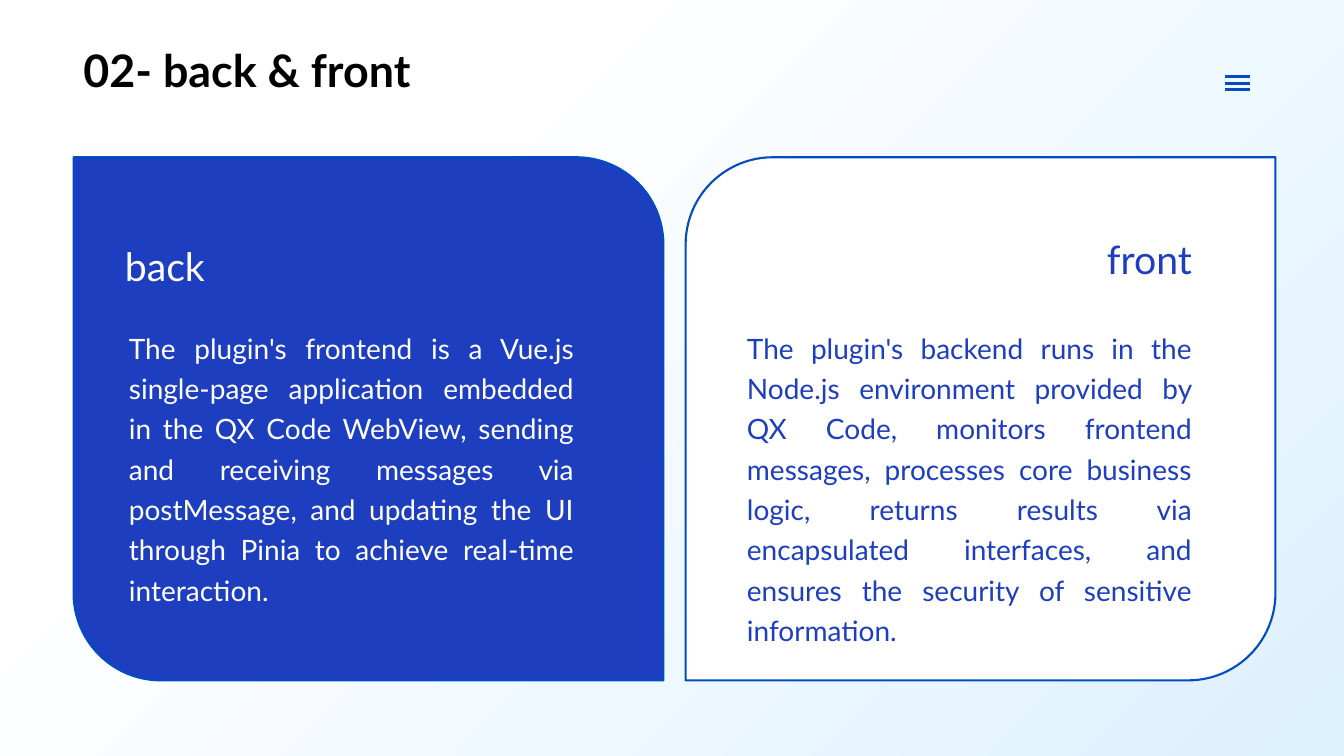
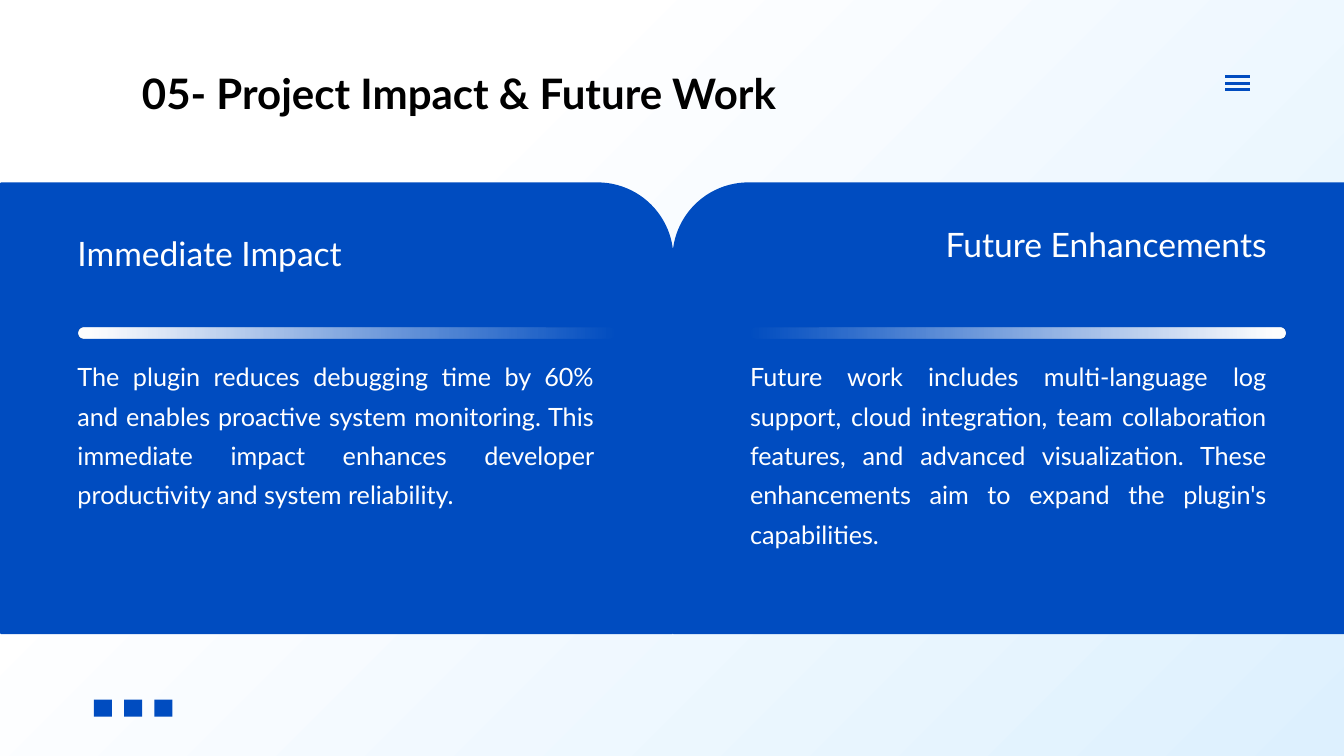
import pptx
import pptx.util
import pptx.dml.color
import pptx.enum.shapes
import pptx.enum.text
import pptx.oxml
import pptx.oxml.ns
from dataclasses import dataclass

SHAPES = pptx.enum.shapes.MSO_SHAPE
ALIGN = pptx.enum.text.PP_ALIGN
ANCHOR = pptx.enum.text.MSO_ANCHOR


@dataclass(frozen=True)
class Theme:
    font: str = "Lato"
    blue: str = "004CC0"
    royal: str = "1D3EBF"
    white: str = "FFFFFF"
    black: str = "000000"
    outline: float = 1.5
    menu_line: float = 2.5
    # Gradient stops: position in percent, colour, opacity in percent
    backdrop: tuple = ((0, "FFFFFF", 100), (28, "FFFFFF", 100), (100, "DDF0FE", 100))
    fade: tuple = ((0, "FFFFFF", 100), (2, "FFFFFF", 100), (100, "FFFFFF", 0))


THEME = Theme()
SLIDE_WIDTH, SLIDE_HEIGHT = 1333, 750
EMU_PER_PX = 9144

# Content: boxes are left, top, width, height in px
BACK_FRONT = {
    "title": ("02- back & front", (73, 37, 1110, 64), 32),
    "panel": SHAPES.ROUND_2_DIAG_RECTANGLE,
    "sizes": (28, 20),
    "spacing": 1.2,
    "columns": [
        {
            "panel": (73, 156, 585, 519), "mirror": True,
            "fill": THEME.royal, "ink": THEME.white,
            "heading": ("back", (114, 235, 469, 57), ALIGN.JUSTIFY),
            "body": ("The plugin's frontend is a Vue.js single-page application "
                     "embedded in the QX Code WebView, sending and receiving "
                     "messages via postMessage, and updating the UI through Pinia "
                     "to achieve real-time interaction.", (118, 317, 461, 250)),
        },
        {
            "panel": (680, 156, 585, 519), "mirror": False,
            "fill": THEME.white, "ink": THEME.royal,
            "heading": ("front", (723, 228, 469, 57), ALIGN.RIGHT),
            "body": ("The plugin's backend runs in the Node.js environment provided "
                     "by QX Code, monitors frontend messages, processes core "
                     "business logic, returns results via encapsulated interfaces, "
                     "and ensures the security of sensitive information.",
                     (731, 317, 461, 290)),
        },
    ],
}

IMPACT = {
    "title": ("05- Project Impact & Future Work", (131, 62, 1110, 61), 30),
    "panel": SHAPES.ROUND_1_RECTANGLE,
    "sizes": (24, 18),
    "spacing": 1.3,
    "columns": [
        {
            "panel": (1, 182, 666, 446), "mirror": False,
            "fill": THEME.blue, "ink": THEME.white, "rule": (78, 325, 531, 11),
            "heading": ("Immediate Impact", (67, 231, 532, 40), ALIGN.JUSTIFY),
            "body": ("The plugin reduces debugging time by 60% and enables proactive "
                     "system monitoring. This immediate impact enhances developer "
                     "productivity and system reliability.", (67, 345, 532, 156)),
        },
        {
            "panel": (668, 182, 666, 446), "mirror": True,
            "fill": THEME.blue, "ink": THEME.white, "rule": (744, 325, 531, 11),
            "heading": ("Future Enhancements", (734, 222, 532, 40), ALIGN.RIGHT),
            "body": ("Future work includes multi-language log support, cloud "
                     "integration, team collaboration features, and advanced "
                     "visualization. These enhancements aim to expand the plugin's "
                     "capabilities.", (734, 345, 532, 195)),
        },
    ],
}


# Drawing helpers
def px(*lengths):
    return [pptx.util.Emu(length * EMU_PER_PX) for length in lengths]


def rgb(colour):
    return pptx.dml.color.RGBColor.from_string(colour)


def set_gradient(fill, owner, stops, angle):
    fill.gradient()
    gradient = owner.xpath(".//a:gradFill")[0]
    stop_list = gradient.find(pptx.oxml.ns.qn("a:gsLst"))
    for stop in list(stop_list):
        stop_list.remove(stop)
    for position, colour, opacity in stops:
        stop_list.append(pptx.oxml.parse_xml(
            f'<a:gs {pptx.oxml.ns.nsdecls("a")} pos="{position * 1000}">'
            f'<a:srgbClr val="{colour}"><a:alpha val="{opacity * 1000}"/>'
            f'</a:srgbClr></a:gs>'))
    gradient.find(pptx.oxml.ns.qn("a:lin")).set("ang", str(angle * 60000))


def add_block(slide, preset, box, fill=None, line=None, mirror=False):
    shape = slide.shapes.add_shape(preset, *px(*box))
    shape.shadow.inherit = False
    if fill:
        shape.fill.solid()
        shape.fill.fore_color.rgb = rgb(fill)
    if line:
        shape.line.color.rgb = rgb(line)
        shape.line.width = pptx.util.Pt(THEME.outline)
    else:
        shape.line.fill.background()
    if mirror:
        shape.element.spPr.get_or_add_xfrm().set("flipH", "1")
    return shape


def add_text(slide, text, box, size, colour, align=ALIGN.LEFT,
             anchor=ANCHOR.TOP, spacing=None, bold=False):
    text_frame = slide.shapes.add_textbox(*px(*box)).text_frame
    text_frame.word_wrap = True
    text_frame.auto_size = pptx.enum.text.MSO_AUTO_SIZE.SHAPE_TO_FIT_TEXT
    text_frame.vertical_anchor = anchor
    text_frame.text = text
    paragraph = text_frame.paragraphs[0]
    paragraph.alignment = align
    paragraph.line_spacing = spacing
    font = paragraph.runs[0].font
    font.name = THEME.font
    font.size = pptx.util.Pt(size)
    font.bold = bold
    font.color.rgb = rgb(colour)


def add_menu_icon(slide):
    for y in (76, 83, 89):
        connector = slide.shapes.add_connector(
            pptx.enum.shapes.MSO_CONNECTOR.STRAIGHT, *px(1215, y, 1240, y))
        connector.line.color.rgb = rgb(THEME.blue)
        connector.line.width = pptx.util.Pt(THEME.menu_line)
        connector.element.spPr.append(pptx.oxml.parse_xml(
            f'<a:effectLst {pptx.oxml.ns.nsdecls("a")}/>'))


def add_fading_rule(slide, box, mirror):
    rule = add_block(slide, SHAPES.ROUNDED_RECTANGLE, box, mirror=mirror)
    rule.adjustments[0] = 0.5
    set_gradient(rule.fill, rule.element, THEME.fade, 0)


def add_footer_squares(slide):
    for index in range(3):
        add_block(slide, SHAPES.RECTANGLE, (93 + 30 * index, 694, 18, 17), THEME.blue)


# Shared two-column layout
def add_two_column_slide(presentation, content):
    slide = presentation.slides.add_slide(presentation.slide_layouts[6])
    set_gradient(slide.background.fill, slide.element, THEME.backdrop, 45)
    title, title_box, title_size = content["title"]
    add_text(slide, title, title_box, title_size, THEME.black, bold=True)
    add_menu_icon(slide)
    heading_size, body_size = content["sizes"]
    for column in content["columns"]:
        add_block(slide, content["panel"], column["panel"], column["fill"],
                  THEME.blue, column["mirror"])
        if "rule" in column:
            add_fading_rule(slide, column["rule"], column["mirror"])
        heading, heading_box, align = column["heading"]
        add_text(slide, heading, heading_box, heading_size, column["ink"],
                 align, ANCHOR.MIDDLE)
        body, body_box = column["body"]
        add_text(slide, body, body_box, body_size, column["ink"],
                 ALIGN.JUSTIFY, spacing=content["spacing"])
    return slide


def main():
    presentation = pptx.Presentation()
    presentation.slide_width, presentation.slide_height = px(SLIDE_WIDTH, SLIDE_HEIGHT)
    add_two_column_slide(presentation, BACK_FRONT)
    impact_slide = add_two_column_slide(presentation, IMPACT)
    add_footer_squares(impact_slide)
    presentation.save("out.pptx")


if __name__ == "__main__":
    main()
